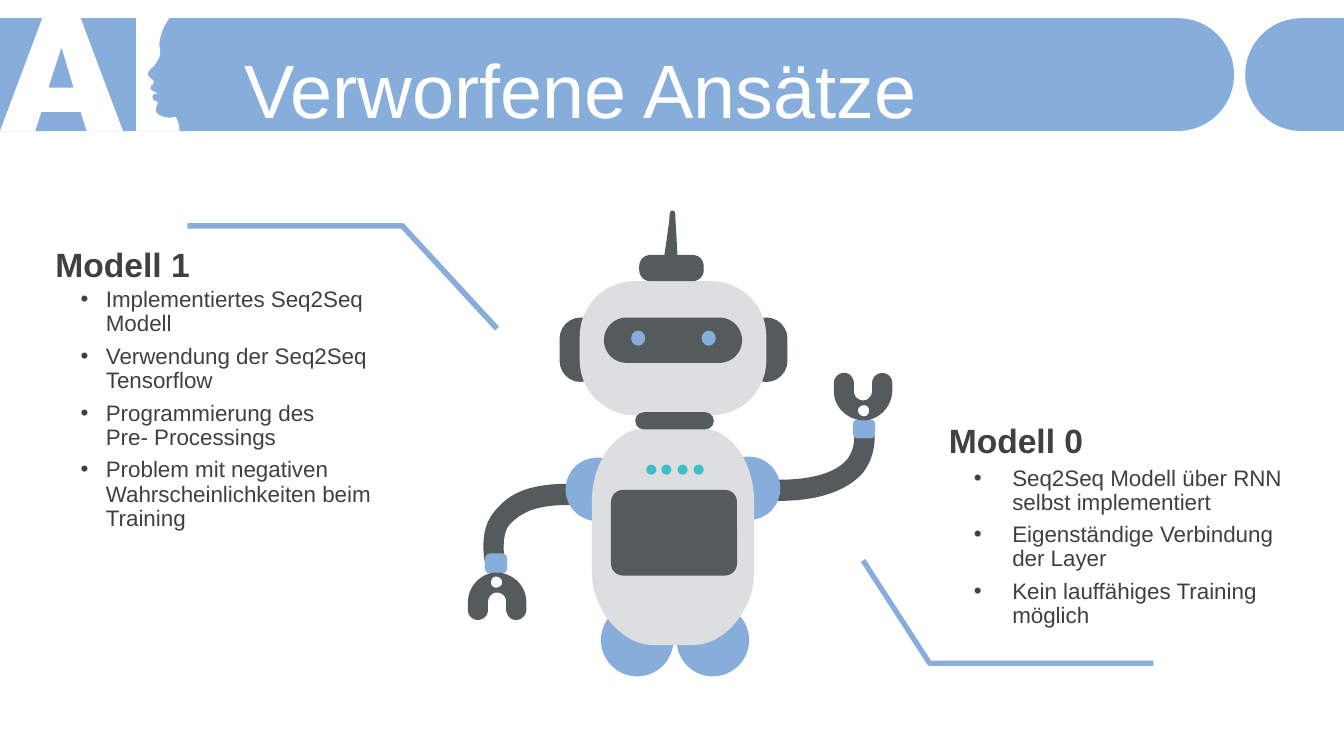
"""Build the slide "Verworfene Ansätze" with a robot between two lists."""
from dataclasses import dataclass
from typing import Sequence

from pptx import Presentation
from pptx.dml.color import RGBColor
from pptx.enum.shapes import MSO_SHAPE
from pptx.enum.text import MSO_ANCHOR, MSO_AUTO_SIZE, PP_ALIGN
from pptx.util import Pt

PX = 9144
BLUE, DARK, LIGHT, TEAL = "87ADDB", "555A5C", "DCDEDF", "3BC0CB"
WHITE, INK = "FFFFFF", "404040"
CURVE_STEPS = 12

Box = tuple[int, int, int, int]
Contour = Sequence[tuple[int, ...]]


@dataclass
class Part:
    box: Box
    color: str
    rounding: float | None = None


@dataclass
class Outline:
    color: str
    contours: Sequence[Contour]


@dataclass
class Callout:
    line: Contour
    line_width: float
    heading: str
    heading_box: Box
    items: Sequence[str]
    items_box: Box
    margin: int
    hanging: int


HEADER = [
    Outline(BLUE, [[(0, 18), (1168, 18), (1199, 18, 1224, 43, 1224, 74),
                    (1224, 105, 1199, 130, 1168, 130), (0, 130)]]),
    Outline(WHITE, [
        [(42, 18), (80, 18), (122, 130), (86, 130), (80, 111), (41, 111), (35, 130), (0, 130)],
        [(61, 47), (48, 87), (73, 87)],
        [(135, 18), (168, 18), (162, 26, 158, 36, 158, 46), (159, 48, 159, 53, 158, 57),
         (157, 59, 153, 66, 151, 67), (148, 69, 146, 73, 147, 75), (148, 77, 150, 78, 151, 79),
         (152, 79, 153, 81, 152, 83), (152, 84, 150, 84, 150, 85), (149, 87, 149, 89, 151, 90),
         (153, 91, 156, 92, 156, 93), (156, 93, 152, 93, 152, 94), (151, 95, 151, 97, 152, 99),
         (152, 100, 155, 100, 156, 101), (157, 103, 156, 103, 155, 106),
         (154, 109, 154, 113, 160, 115), (164, 117, 168, 117, 174, 116),
         (176, 118, 178, 124, 178, 130), (135, 130)],
    ]),
    Outline(BLUE, [[(1291, 18), (1333, 18), (1333, 130), (1291, 130),
                    (1260, 130, 1235, 105, 1235, 74), (1235, 43, 1260, 18, 1291, 18)]]),
]

HAND = [
    [(827, 380), (827, 388), (827, 405, 842, 418, 859, 417), (874, 415, 885, 402, 885, 387),
     (885, 380), (885, 375, 881, 370, 875, 370), (870, 370, 865, 374, 865, 380), (865, 388),
     (865, 392, 862, 396, 858, 397), (852, 398, 847, 394, 847, 388), (847, 381),
     (847, 376, 844, 371, 839, 370), (833, 369, 827, 374, 827, 380)],
    [(851, 407), (851, 404, 854, 402, 857, 402), (860, 402, 862, 404, 862, 407),
     (862, 411, 860, 413, 857, 413), (854, 413, 851, 411, 851, 407)],
]


def half_turn(contours: Sequence[Contour], x_sum: int, y_sum: int) -> list[Contour]:
    """Rotate contours by 180 degrees; the sums are twice the centre."""
    return [[tuple((y_sum if i % 2 else x_sum) - value for i, value in enumerate(step))
             for step in contour] for contour in contours]


ROBOT = [
    Part((671, 599, 72, 72), BLUE),
    Part((596, 599, 72, 72), BLUE),
    Outline(DARK, [[(564, 480), (525, 480, 505, 489, 490, 508), (474, 527, 481, 557, 481, 558),
                    (501, 560), (501, 559, 496, 532, 505, 521), (517, 508, 532, 501, 564, 501),
                    (570, 501, 574, 496, 574, 490), (575, 484, 570, 480, 564, 480)]]),
    Part((481, 549, 22, 20), BLUE, 0.25),
    Outline(DARK, half_turn(HAND, 1349, 985)),
    Outline(DARK, [[(772, 497), (812, 497, 840, 487, 856, 469), (871, 449, 867, 428, 867, 427),
                    (847, 431), (847, 432, 849, 444, 840, 456), (829, 469, 805, 476, 773, 476),
                    (767, 476, 762, 481, 762, 486), (762, 492, 766, 497, 772, 497)]]),
    Part((846, 416, 22, 19), BLUE, 0.25),
    Outline(DARK, HAND),
    Part((711, 453, 63, 63), BLUE),
    Part((561, 454, 63, 63), BLUE),
    Outline(LIGHT, [[(639, 425), (697, 425), (725, 426, 748, 458, 748, 498), (748, 568),
                     (748, 607, 717, 640, 688, 640), (647, 640), (619, 640, 587, 607, 587, 568),
                     (587, 498), (587, 458, 610, 426, 639, 425)]]),
    Part((739, 315, 42, 64), DARK, 0.5),
    Part((555, 315, 42, 64), DARK, 0.5),
    Part((575, 279, 185, 133), LIGHT, 0.41),
    Part((634, 253, 64, 26), DARK, 0.42),
    Outline(DARK, [[(664, 218), (659, 253), (659, 258, 662, 262, 665, 262),
                    (669, 262, 672, 259, 672, 254), (670, 218), (670, 213, 670, 209, 667, 209),
                    (664, 209, 664, 213, 664, 218)]]),
    *(Part((641 + 47 * light // 3, 461, 10, 10), TEAL) for light in range(4)),
    Part((599, 315, 137, 45), DARK, 0.5),
    Part((626, 328, 14, 15), BLUE),
    Part((696, 328, 14, 15), BLUE),
    Part((630, 409, 78, 17), DARK, 0.5),
    Part((606, 486, 125, 85), DARK, 0.14),
]

CALLOUTS = [
    Callout([(493, 326), (399, 224), (186, 224)], 4, "Modell 1", (45, 237, 346, 50),
            ["Implementiertes Seq2Seq Modell", "Verwendung der Seq2Seq Tensorflow",
             "Programmierung des\nPre- Processings",
             "Problem mit negativen Wahrscheinlichkeiten beim Training"],
            (45, 281, 358, 253), 50, 25),
    Callout([(856, 556), (922, 658), (1144, 658)], 3.75, "Modell 0", (931, 412, 354, 50),
            ["Seq2Seq Modell über RNN selbst implementiert",
             "Eigenständige Verbindung der Layer", "Kein lauffähiges Training möglich"],
            (931, 458, 354, 197), 63, 38),
]


def rgb(color: str) -> RGBColor:
    """Turn a hex string into a colour."""
    return RGBColor.from_string(color)


def flatten(contour: Contour) -> list[tuple[int, int]]:
    """Turn corners and cubic curves into points in EMU."""
    points = [contour[0]]
    for step in contour[1:]:
        if len(step) == 2:
            points.append(step)
            continue
        nodes = [points[-1], step[:2], step[2:4], step[4:]]
        for i in range(1, CURVE_STEPS + 1):
            t = i / CURVE_STEPS
            weights = ((1 - t) ** 3, 3 * t * (1 - t) ** 2, 3 * t * t * (1 - t), t ** 3)
            points.append(tuple(sum(w * node[axis] for w, node in zip(weights, nodes))
                                for axis in (0, 1)))
    return [(round(x * PX), round(y * PX)) for x, y in points]


def trace(shapes, contours: Sequence[Contour], close: bool):
    """Add a freeform made of the given contours."""
    paths = [flatten(contour) for contour in contours]
    builder = shapes.build_freeform(*paths[0][0], scale=1.0)
    for number, path in enumerate(paths):
        if number:
            builder.move_to(*path[0])
        builder.add_line_segments(path[1:], close=close)
    shape = builder.convert_to_shape()
    shape.shadow.inherit = False
    return shape


def draw(shapes, item: Part | Outline) -> None:
    """Draw one filled element without a line."""
    if isinstance(item, Outline):
        shape = trace(shapes, item.contours, True)
    else:
        kind = MSO_SHAPE.OVAL if item.rounding is None else MSO_SHAPE.ROUNDED_RECTANGLE
        shape = shapes.add_shape(kind, *(value * PX for value in item.box))
        if item.rounding is not None:
            shape.adjustments[0] = item.rounding
        shape.shadow.inherit = False
    shape.fill.solid()
    shape.fill.fore_color.rgb = rgb(item.color)
    shape.line.fill.background()


def write(holder, box: Box, lines: Sequence[str], size: int, color: str, anchor: MSO_ANCHOR,
          spacing: float = 1.0, after: int = 0, bold: bool = False,
          margin: int = 0, hanging: int = 0) -> None:
    """Move a placeholder to the front, fill it and format its paragraphs."""
    holder._element.getparent().append(holder._element)
    holder.left, holder.top, holder.width, holder.height = (value * PX for value in box)
    frame = holder.text_frame
    frame.word_wrap = True
    frame.auto_size = MSO_AUTO_SIZE.NONE
    frame.vertical_anchor = anchor
    for number, line in enumerate(lines):
        paragraph = frame.add_paragraph() if number else frame.paragraphs[0]
        paragraph.text = line
        paragraph.alignment = PP_ALIGN.LEFT
        paragraph.line_spacing = spacing
        paragraph.space_before = Pt(0)
        paragraph.space_after = Pt(after)
        properties = paragraph._p.get_or_add_pPr()
        properties.set("marL", str(margin * PX))
        properties.set("indent", str(-hanging * PX))
        font = paragraph.font
        font.name, font.size, font.bold = "Arial", Pt(size), bold
        font.color.rgb = rgb(color)


def main() -> None:
    """Assemble and save the slide."""
    deck = Presentation()
    deck.slide_width, deck.slide_height = 1333 * PX, 750 * PX
    slide = deck.slides.add_slide(deck.slide_layouts.get_by_name("Comparison"))
    title, *holders = slide.placeholders
    for item in HEADER + ROBOT:
        draw(slide.shapes, item)
    write(title, (232, 44, 1069, 79), ["Verworfene Ansätze"], 54, WHITE, MSO_ANCHOR.MIDDLE, 1.1)
    for callout, heading, items in zip(CALLOUTS, holders[::2], holders[1::2]):
        line = trace(slide.shapes, [callout.line], False)
        line.fill.background()
        line.line.color.rgb = rgb(BLUE)
        line.line.width = Pt(callout.line_width)
        write(heading, callout.heading_box, [callout.heading], 24, INK, MSO_ANCHOR.MIDDLE,
              bold=True)
        write(items, callout.items_box, callout.items, 16, INK, MSO_ANCHOR.TOP, 0.9, 6,
              margin=callout.margin, hanging=callout.hanging)
    deck.save("out.pptx")


if __name__ == "__main__":
    main()
